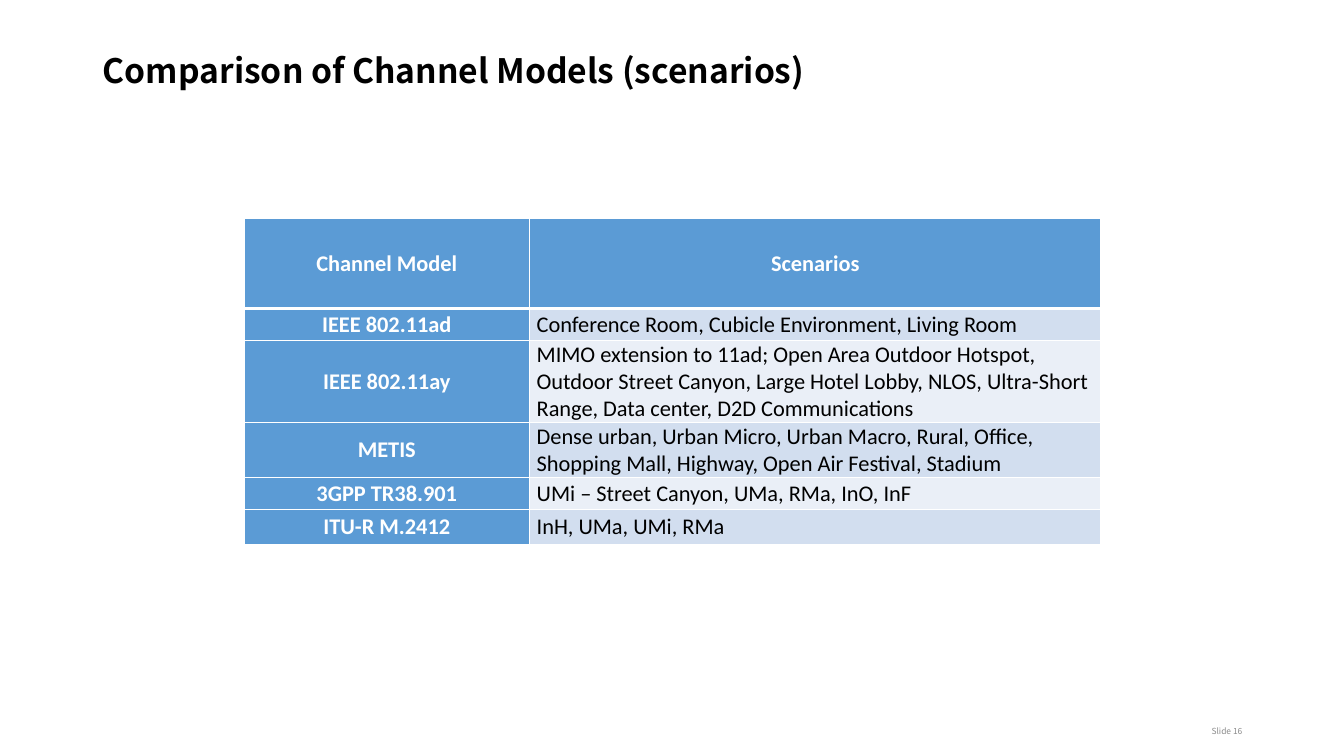
from dataclasses import dataclass

from lxml import etree
from pptx import Presentation
from pptx.dml.color import RGBColor
from pptx.enum.text import MSO_ANCHOR, PP_ALIGN
from pptx.oxml.ns import qn
from pptx.util import Inches, Pt

LEFT, CENTER, RIGHT = PP_ALIGN.LEFT, PP_ALIGN.CENTER, PP_ALIGN.RIGHT
MIDDLE, BOTTOM = MSO_ANCHOR.MIDDLE, MSO_ANCHOR.BOTTOM
TITLE_ONLY_LAYOUT = 5


@dataclass(frozen=True)
class Theme:
    heading_font: str = "Noto Sans CJK SC"
    table_font: str = "Calibri"
    title_size: int = 24
    table_size: int = 16
    number_size: int = 6
    black: str = "000000"
    white: str = "FFFFFF"
    gray: str = "8C8C8C"
    blue: str = "5B9BD5"
    bands: tuple = ("D2DEEF", "EAEFF7")
    thin_line: int = 1
    header_line: int = 3


THEME = Theme()

# Boxes: left, top, width, height in inches
SLIDE_SIZE = (13.33, 7.5)
TITLE_BOX = (0.92, 0.45, 11.5, 0.54)
TABLE_BOX = (2.42, 2.17, 8.5, 3.22)
NUMBER_BOX = (9.42, 6.95, 3, 0.4)

COLUMN_SHARES = (1 / 3, 2 / 3)
ROW_HEIGHTS = (0.89, 0.32, 0.81, 0.54, 0.32, 0.34)
SCENARIO_ROWS = (
    ("Channel Model", "Scenarios"),
    ("IEEE 802.11ad", "Conference Room, Cubicle Environment, Living Room"),
    ("IEEE 802.11ay", "MIMO extension to 11ad; Open Area Outdoor Hotspot, "
     "Outdoor Street Canyon, Large Hotel Lobby, NLOS, Ultra-Short Range, "
     "Data center, D2D Communications"),
    ("METIS", "Dense urban, Urban Micro, Urban Macro, Rural, Office, "
     "Shopping Mall, Highway, Open Air Festival, Stadium"),
    ("3GPP TR38.901", "UMi – Street Canyon, UMa, RMa, InO, InF"),
    ("ITU-R M.2412", "InH, UMa, UMi, RMa"),
)


def write(text_frame, text, font_name, size, color, bold=False, align=LEFT):
    text_frame.text = text
    paragraph = text_frame.paragraphs[0]
    paragraph.alignment = align
    font = paragraph.font
    font.name, font.size, font.bold = font_name, Pt(size), bold
    font.color.rgb = RGBColor.from_string(color)
    return paragraph


def add_title(slide, box, text):
    title = slide.shapes.title
    title.left, title.top, title.width, title.height = map(Inches, box)
    title.text_frame.vertical_anchor = MIDDLE
    paragraph = write(title.text_frame, text, THEME.heading_font,
                      THEME.title_size, THEME.black, bold=True)
    paragraph.line_spacing = 0.9


def set_borders(cell, widths):
    """Draw white cell borders; widths maps an edge tag to points."""
    properties = cell._tc.get_or_add_tcPr()
    for position, (edge, width) in enumerate(widths.items()):
        line = etree.Element(qn(f"a:{edge}"), w=str(Pt(width)))
        fill = etree.SubElement(line, qn("a:solidFill"))
        etree.SubElement(fill, qn("a:srgbClr"), val=THEME.white)
        properties.insert(position, line)


def format_cell(cell, text, row, column):
    is_header = row == 0
    is_label = is_header or column == 0
    cell.vertical_anchor = MIDDLE
    cell.margin_left = cell.margin_right = Inches(0.07)
    cell.margin_top = cell.margin_bottom = 0
    write(cell.text_frame, text, THEME.table_font, THEME.table_size,
          THEME.white if is_label else THEME.black, is_label,
          CENTER if is_label else LEFT)
    cell.fill.solid()
    cell.fill.fore_color.rgb = RGBColor.from_string(
        THEME.blue if is_label else THEME.bands[(row - 1) % 2])
    widths = dict.fromkeys(("lnL", "lnR", "lnT", "lnB"), THEME.thin_line)
    if is_header:
        widths["lnB"] = THEME.header_line
    elif row == 1:
        widths["lnT"] = THEME.header_line
    set_borders(cell, widths)


def add_scenario_table(slide, box, rows):
    table = slide.shapes.add_table(
        len(rows), len(COLUMN_SHARES), *map(Inches, box)).table
    for column, share in zip(table.columns, COLUMN_SHARES):
        column.width = Inches(box[2] * share)
    for row, height in zip(table.rows, ROW_HEIGHTS):
        row.height = Inches(height)
    for row, texts in enumerate(rows):
        for column, text in enumerate(texts):
            format_cell(table.cell(row, column), text, row, column)


def add_slide_number(slide, box, text):
    text_frame = slide.shapes.add_textbox(*map(Inches, box)).text_frame
    text_frame.word_wrap = True
    text_frame.vertical_anchor = BOTTOM
    write(text_frame, text, THEME.heading_font, THEME.number_size,
          THEME.gray, align=RIGHT)


def main():
    presentation = Presentation()
    presentation.slide_width, presentation.slide_height = map(Inches, SLIDE_SIZE)
    slide = presentation.slides.add_slide(
        presentation.slide_layouts[TITLE_ONLY_LAYOUT])
    # Heading, table and footer
    add_title(slide, TITLE_BOX, "Comparison of Channel Models (scenarios)")
    add_scenario_table(slide, TABLE_BOX, SCENARIO_ROWS)
    add_slide_number(slide, NUMBER_BOX, "Slide 16")
    presentation.save("out.pptx")


if __name__ == "__main__":
    main()
